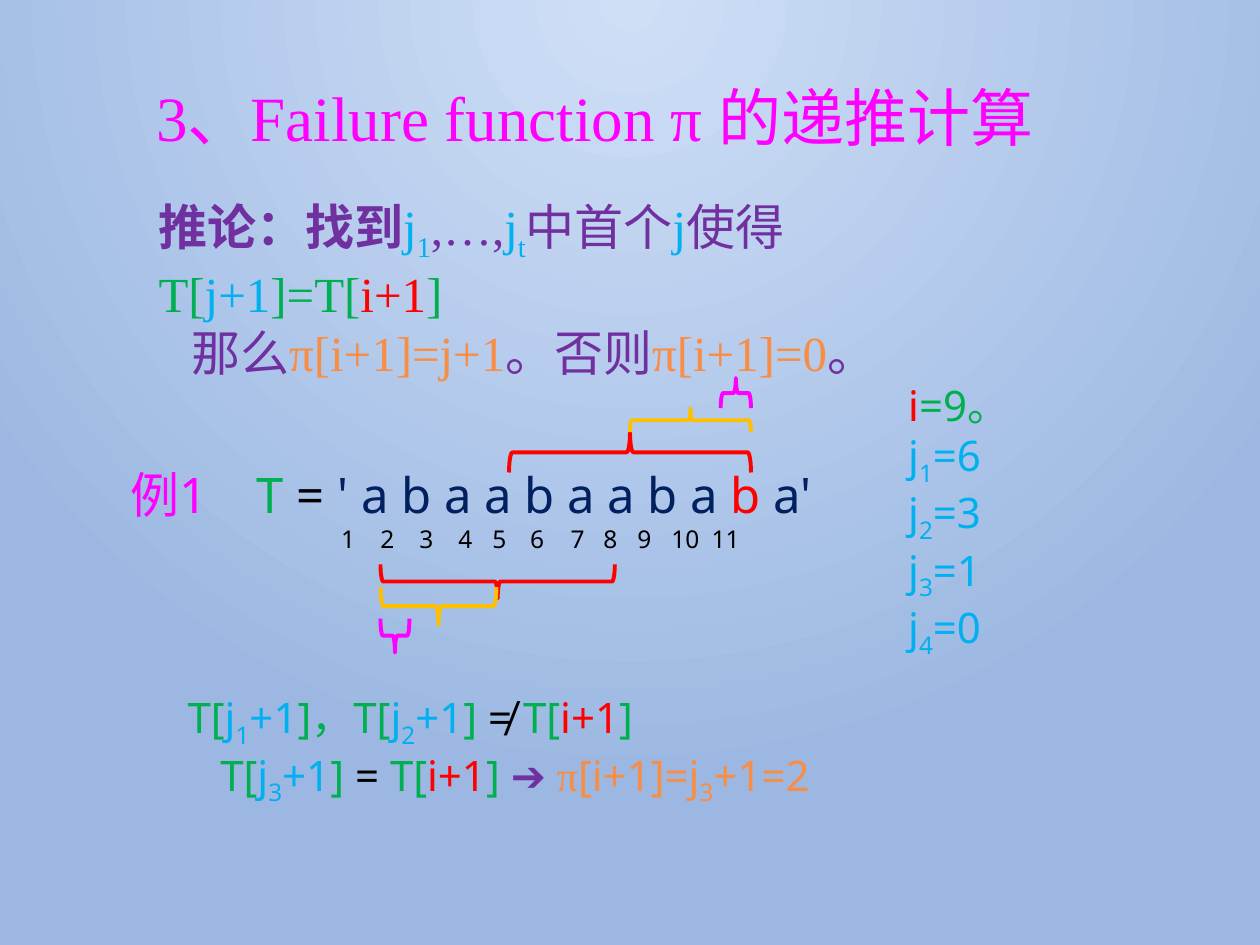
from lxml import etree
from pptx import Presentation
from pptx.dml.color import RGBColor
from pptx.enum.shapes import MSO_SHAPE
from pptx.enum.text import MSO_ANCHOR, PP_ALIGN
from pptx.oxml.ns import qn
from pptx.util import Inches, Pt

COLORS = {
    "center": "CFDFF6", "edge": "9CB8E2", "magenta": "FF00FF",
    "green": "00B050", "black": "000000", "navy": "002060",
    "red": "FF0000", "sky": "00B0F0", "purple": "7030A0",
    "orange": "F98D43", "gold": "FFC000",
}
SANS, SERIF = "Noto Sans", "Times New Roman"


def color(name):
    return RGBColor.from_string(COLORS[name])


class SlideBuilder:
    """Holds the current slide and adds styled elements to it."""

    def __init__(self, presentation):
        self.slide = presentation.slides.add_slide(presentation.slide_layouts[5])

    def background(self):
        """Fill the slide with a circular gradient centred on the top edge."""
        fill = self.slide.background.fill
        fill.gradient()
        for stop, name in zip(fill.gradient_stops, ("center", "edge")):
            stop.color.rgb = color(name)
        gradient = next(self.slide.element.iter(qn("a:gradFill")))
        linear = gradient.find(qn("a:lin"))
        circle = etree.Element(qn("a:path"), path="circle")
        etree.SubElement(circle, qn("a:fillToRect"),
                         l="43000", t="0", r="43000", b="100000")
        gradient.replace(linear, circle)

    def add_run(self, paragraph, text, **formats):
        run = paragraph.add_run()
        run.text = text
        run.font.color.rgb = color(formats.pop("color"))
        subscript = formats.pop("subscript", False)
        for name, value in formats.items():
            setattr(run.font, name, value)
        if subscript:
            run._r.get_or_add_rPr().set("baseline", "-25000")

    def fill_paragraph(self, paragraph, runs, size, font, indent=0, tabs=()):
        """Add (text, colour[, formats]) runs; "_" lowers the next character."""
        properties = paragraph._p.get_or_add_pPr()
        if indent:
            properties.set("marL", str(Inches(indent)))
        if tabs:
            tab_list = etree.SubElement(properties, qn("a:tabLst"))
            for position in tabs:
                etree.SubElement(tab_list, qn("a:tab"),
                                 pos=str(Inches(position)), algn="l")
        for text, name, *extra in runs:
            formats = {"size": Pt(size), "name": font, "color": name}
            formats.update(*extra)
            first, *lowered = text.split("_")
            if first:
                self.add_run(paragraph, first, **formats)
            for part in lowered:
                self.add_run(paragraph, part[0], subscript=True, **formats)
                if part[1:]:
                    self.add_run(paragraph, part[1:], **formats)

    def title(self, box, text):
        shape = self.slide.shapes.title
        shape.left, shape.top, shape.width, shape.height = map(Inches, box)
        shape.text_frame.vertical_anchor = MSO_ANCHOR.MIDDLE
        paragraph = shape.text_frame.paragraphs[0]
        paragraph.alignment = PP_ALIGN.LEFT
        paragraph.line_spacing = 0.9
        self.fill_paragraph(paragraph, [(text, "magenta")], 36, SERIF)

    def text(self, box, paragraphs):
        """Add a text box from dicts of arguments for fill_paragraph."""
        frame = self.slide.shapes.add_textbox(*map(Inches, box)).text_frame
        frame.word_wrap = True
        for index, content in enumerate(paragraphs):
            paragraph = frame.add_paragraph() if index else frame.paragraphs[0]
            self.fill_paragraph(paragraph, **content)

    def brace(self, left, top, width, height, name, rotation):
        """Add a brace by the area it covers once it is turned on its side."""
        shape = self.slide.shapes.add_shape(
            MSO_SHAPE.LEFT_BRACE,
            Inches(left + (width - height) / 2), Inches(top + (height - width) / 2),
            Inches(height), Inches(width))
        shape.rotation = rotation
        shape.shadow.inherit = False
        shape.fill.background()
        shape.line.color.rgb = color(name)
        shape.line.width = Pt(2.25)


def main():
    presentation = Presentation()
    presentation.slide_width, presentation.slide_height = Inches(10), Inches(7.5)
    builder = SlideBuilder(presentation)
    builder.background()
    builder.title((1.14, 0.62, 8.49, 0.69), "3、Failure function π 的递推计算")

    serif = {"size": 28, "font": SERIF}
    builder.text((1.16, 1.51, 7.38, 1.04), [
        dict(serif, runs=[
            ("推论：找到", "purple", {"bold": True}), ("j_1", "sky"),
            (",…,", "purple"), ("j_t", "sky"), ("中首个", "purple"),
            ("j", "sky"), ("使得", "purple"), ("T[", "green"),
            ("j+1", "sky"), ("]=T[", "green"), ("i+1", "red"), ("]", "green")]),
        dict(serif, indent=0.26, runs=[
            ("那么", "purple"), ("π[i+1]=j+1", "orange"), ("。否则", "purple"),
            ("π[i+1]=0", "orange"), ("。", "purple")]),
    ])

    index_tabs = (1.67, 1.98, 2.29, 2.6, 2.87, 3.17, 3.49, 3.75, 4.02, 4.29, 4.61)
    indices = "".join(f"\t{number}" for number in range(1, len(index_tabs) + 1))
    builder.text((0.94, 3.64, 7.03, 0.81), [
        dict(size=28, font=SANS, tabs=[1], runs=[
            ("例1\t", "magenta"), ("T", "green"), (" = ", "black"),
            ("' a b a a b a a b a ", "navy"), ("b", "red"), (" a'", "navy")]),
        dict(size=14, font=SANS, tabs=index_tabs, runs=[(indices, "black")]),
    ])

    sans = {"size": 24, "font": SANS}
    builder.text((1.39, 5.44, 7.65, 1.31), [
        dict(sans, runs=[
            ("T[", "green"), ("j_1+1", "sky"), ("]，T[", "green"),
            ("j_2+1", "sky"), ("] ", "green"), ("≠ ", "black"),
            ("T[", "green"), ("i+1", "red"), ("]", "green")]),
        dict(sans, indent=0.26, runs=[
            ("T[", "green"), ("j_3+1", "sky"), ("]", "green"), (" = ", "black"),
            ("T[", "green"), ("i+1", "red"), ("] ", "green"), ("➔ ", "purple"),
            ("π", "orange", {"name": SERIF}), ("[i+1]=j_3+1=2", "orange")]),
    ])

    chain = [dict(sans, runs=[(f"j_{order}={value}", "sky")])
             for order, value in enumerate((6, 3, 1, 0), 1)]
    builder.text((7.11, 2.96, 1.24, 2.12),
                 [dict(sans, runs=[("i", "red"), ("=9。", "green")])] + chain)

    prefix_left, suffix_right = 3.02, 5.96
    for name, prefix, suffix in (
            ("red", (4.48, 1.86, 0.27), (3.43, 1.92, 0.32)),
            ("gold", (4.66, 0.92, 0.3), (3.24, 0.96, 0.19)),
            ("magenta", (4.91, 0.23, 0.27), (3, 0.24, 0.24))):
        builder.brace(prefix_left, *prefix, name, 270)
        builder.brace(suffix_right - suffix[1], *suffix, name, 90)

    presentation.save("out.pptx")


if __name__ == "__main__":
    main()
